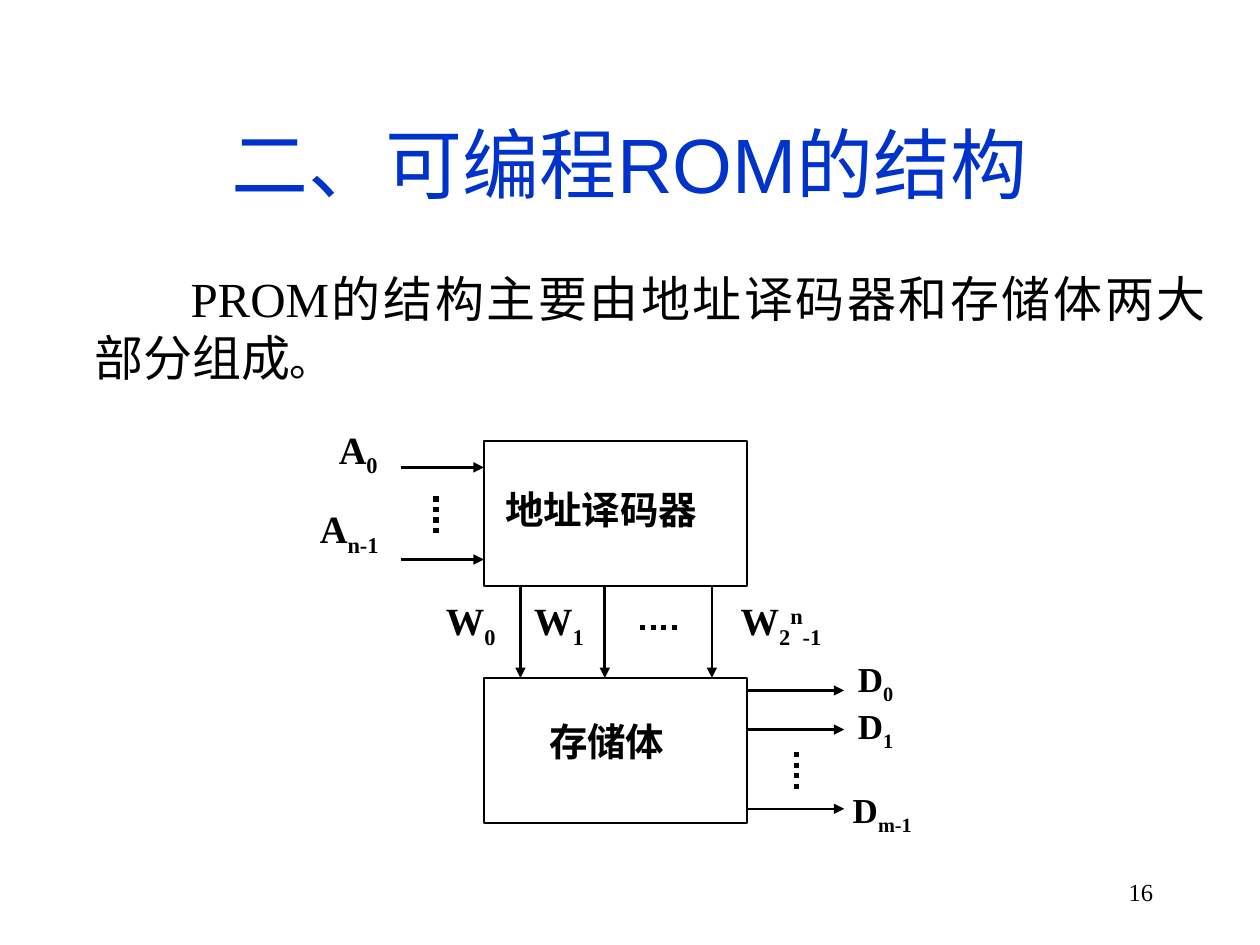
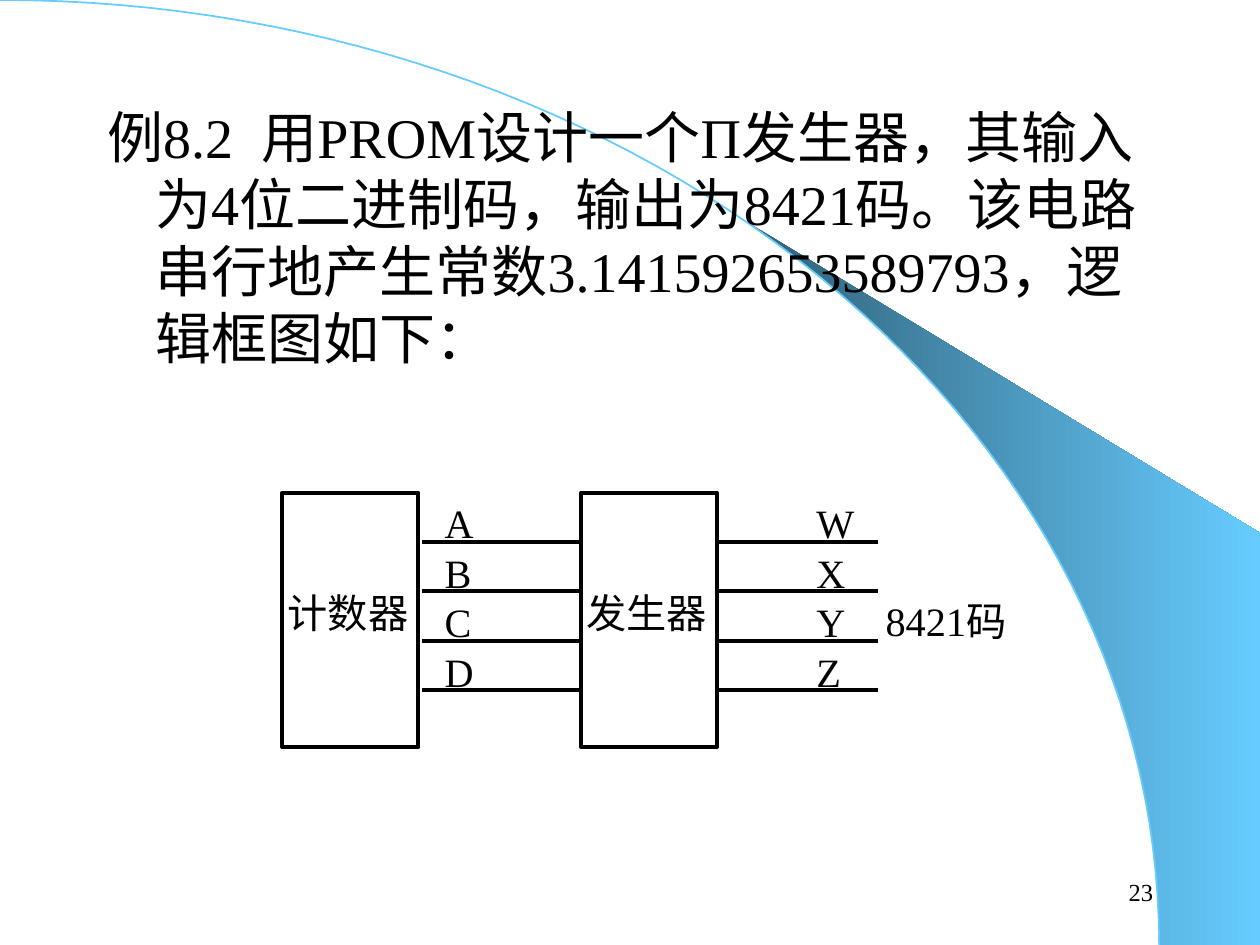
from dataclasses import dataclass
from math import asin, cos, pi, sin

from lxml.etree import SubElement
from pptx import Presentation
from pptx.dml.color import RGBColor as Color
from pptx.enum.dml import MSO_LINE as Dash
from pptx.enum.lang import MSO_LANGUAGE_ID as Language
from pptx.enum.shapes import MSO_CONNECTOR as Connector, MSO_SHAPE as Shape
from pptx.enum.text import MSO_ANCHOR as Anchor, MSO_AUTO_SIZE as AutoSize, PP_ALIGN as Align
from pptx.oxml.ns import qn
from pptx.util import Pt


@dataclass(frozen=True)
class Theme:
    ink: Color = Color(0x00, 0x00, 0x00)
    title: Color = Color(0x00, 0x33, 0xCC)
    sky: Color = Color(0x66, 0xCC, 0xFF)
    deep: Color = Color(0x2F, 0x5E, 0x75)
    serif: str = "Times New Roman"
    sans: str = "Arial"
    title_size: int = 44
    body_size: int = 32
    intro_size: int = 28
    stop_size: int = 24
    block_size: int = 22
    output_size: int = 20
    signal_size: int = 23
    number_size: int = 14


THEME = Theme()
WIDTH, HEIGHT = 720, 540

TITLE = "二、可编程ROM的结构"
INTRO = [("PROM的结构主要由地址译码器和存储体两大部分组成", {}),
         ("。", {"size": THEME.stop_size})]
EXAMPLE = [("例8.2", {}), (" ", {"spacing": 8}),
           ("用PROM设计一个П发生器，其输入为4位二进制码，输出为8421码。"
            "该电路串行地产生常数3.141592653589793，逻辑框图如下：", {})]

SUB, SUPER = {"baseline": -25}, {"baseline": 30}
DECODER = (276.5, 252, 150.5, 82.8)
STORAGE = (276.5, 387.4, 150.5, 82.8)
BLOCK_LABELS = [
    ([("地址译码器", {})], (281.5, 274.3, 123.8, 33.8)),
    ([("存储体", {})], (306.7, 406.8, 79.9, 33.8)),
    ([("W", {}), ("0", SUB)], (247.7, 337.7, 42.5, 37.4)),
    ([("W", {}), ("1", SUB)], (298.1, 337.7, 42.5, 37.4)),
    ([("W", {}), ("2", SUB), ("n", SUPER), ("-1", SUB)], (416.2, 337.7, 60.5, 37.4)),
    ([("A", {}), ("0", SUB)], (186.5, 239.8, 36.7, 37.4)),
    ([("A", {}), ("n-1", SUB)], (175.7, 285.1, 47.5, 37.4)),
]
OUTPUT_LABELS = [
    ([("D", {}), ("0", SUB)], (483.1, 372.2, 34.6, 34.6)),
    ([("D", {}), ("1", SUB)], (483.1, 398.9, 34.6, 34.6)),
    ([("D", {}), ("m-1", SUB)], (480.2, 447.1, 48.2, 34.6)),
]
WORD_LINES = [297.4, 345.6, 406.8]
ADDRESS_LINES = [267.1, 319.7]
DATA_LINES = [394.6, 416.9, 462.2]
DOTS = [(249.1, 283.7, 249.1, 306.7), (365.8, 358.6, 386.6, 358.6),
        (455, 429.8, 455, 452.9)]

BLOCKS = [("计数器", 161.3), ("发生器", 331.9)]
SIGNALS = [
    (247, 241.2, [("A", 31), ("B", 29.5), ("C", 29.5), ("D", 31)]),
    (459.4, 411.1, [("W", 36), ("X", 31), ("Y", 31), ("Z", 28)]),
]
BLOCK_TOP, BLOCK_WIDTH, BLOCK_HEIGHT = 281.5, 77.8, 145.4
WIRE_TOP, WIRE_LENGTH, WIRE_STEP = 309.6, 90.7, 28.3
LABEL_HEIGHT = 35.3


def place(box, frame):
    box.left, box.top, box.width, box.height = map(Pt, frame)


def write(box, text, *, size, font=THEME.serif, color=THEME.ink, bold=False,
          align=Align.LEFT, anchor=Anchor.TOP, wrap=False, margin=0, indent=0):
    frame = box.text_frame
    frame.auto_size = AutoSize.NONE
    frame.word_wrap = wrap
    frame.vertical_anchor = anchor
    para = frame.paragraphs[0]
    para.alignment = align
    para.space_before = Pt(0)
    props = para._p.get_or_add_pPr()
    props.set("marL", str(Pt(margin)))
    props.set("indent", str(Pt(indent)))
    SubElement(props, qn("a:buNone"))
    spans = [(text, {})] if isinstance(text, str) else text
    for words, extra in spans:
        span = para.add_run()
        span.text = words
        span.font.size = Pt(extra.get("size", size))
        span.font.name = font
        span.font.bold = bold
        span.font.color.rgb = color
        span.font.language_id = Language.SIMPLIFIED_CHINESE
        if "baseline" in extra:
            span.font._element.set("baseline", str(extra["baseline"] * 1000))
        if "spacing" in extra:
            span.font._element.set("spc", str(extra["spacing"] * 100))


def add_text(page, text, frame, **style):
    box = page.shapes.add_textbox(*map(Pt, frame))
    write(box, text, **style)


def add_block(page, frame, weight):
    block = page.shapes.add_shape(Shape.RECTANGLE, *map(Pt, frame))
    block.shadow.inherit = False
    block.fill.background()
    block.line.color.rgb = THEME.ink
    block.line.width = Pt(weight)


def add_line(page, ends, weight, arrow=False, dotted=False):
    line = page.shapes.add_connector(Connector.STRAIGHT, *map(Pt, ends))
    line.line.color.rgb = THEME.ink
    line.line.width = Pt(weight)
    if dotted:
        line.line.dash_style = Dash.ROUND_DOT
    if arrow:
        SubElement(line.line._get_or_add_ln(), qn("a:tailEnd"), type="triangle")
    SubElement(line._element.spPr, qn("a:effectLst"))


def add_number(page, number):
    add_text(page, str(number), (516.2, 491.8, 149.8, 36), size=THEME.number_size,
             align=Align.RIGHT, anchor=Anchor.MIDDLE, wrap=True)


def arc_points(start_angle, steps=60):
    radius_x, radius_y = 662.4, HEIGHT
    angles = [start_angle + (pi / 2 - start_angle) * i / steps for i in range(steps + 1)]
    return [(radius_x * sin(a), radius_y * (1 - cos(a))) for a in angles]


def add_outline(page, points, close):
    points = [(Pt(x), Pt(y)) for x, y in points]
    builder = page.shapes.build_freeform(*points[0])
    builder.add_line_segments(points[1:], close=close)
    outline = builder.convert_to_shape()
    outline.shadow.inherit = False
    return outline


def add_sweep(page):
    corners = [(WIDTH, HEIGHT), (WIDTH, 304.6)]
    band = add_outline(page, arc_points(asin(0.64)) + corners, close=True)
    band.line.fill.background()
    band.fill.gradient()
    band.fill.gradient_angle = 0
    for stop, color in zip(band.fill.gradient_stops, (THEME.deep, THEME.sky)):
        stop.color.rgb = color
    arc = add_outline(page, arc_points(0), close=False)
    arc.fill.background()
    arc.line.color.rgb = THEME.sky
    arc.line.width = Pt(1)


def build_structure(deck):
    page = deck.slides.add_slide(deck.slide_layouts[5])
    title = page.shapes.title
    place(title, (54, 48.2, 612, 90))
    write(title, TITLE, size=THEME.title_size, font=THEME.sans, color=THEME.title,
          align=Align.CENTER, anchor=Anchor.MIDDLE, wrap=True)
    add_text(page, INTRO, (46.8, 149.8, 649.4, 74.9), size=THEME.intro_size,
             align=Align.JUSTIFY, wrap=True, indent=55)

    for frame in (DECODER, STORAGE):
        add_block(page, frame, 1.5)
    left, top, width, height = DECODER
    arrows = [(x, top + height, x, STORAGE[1]) for x in WORD_LINES]
    arrows += [(229, y, left, y) for y in ADDRESS_LINES]
    arrows += [(left + width, y, 482.4, y) for y in DATA_LINES]
    for ends in arrows:
        add_line(page, ends, 1.5, arrow=True)
    for ends in DOTS:
        add_line(page, ends, 3, dotted=True)
    for labels, size in ((BLOCK_LABELS, THEME.block_size), (OUTPUT_LABELS, THEME.output_size)):
        for text, frame in labels:
            add_text(page, text, frame, size=size, bold=True, align=Align.JUSTIFY)
    add_number(page, 16)


def build_generator(deck):
    page = deck.slides.add_slide(deck.slide_layouts[1])
    title, body = page.placeholders
    title._element.getparent().remove(title._element)
    add_sweep(page)
    page.shapes._spTree.append(body._element)
    place(body, (54, 54.7, 617.8, 209.5))
    write(body, EXAMPLE, size=THEME.body_size, wrap=True, margin=27.4, indent=-27.4)

    for name, left in BLOCKS:
        add_block(page, (left, BLOCK_TOP, BLOCK_WIDTH, BLOCK_HEIGHT), 2.25)
        add_text(page, name, (left - 4, 332.6, 83.5, LABEL_HEIGHT), size=THEME.signal_size)
    for label_left, wire_left, signals in SIGNALS:
        for row, (name, width) in enumerate(signals):
            y = WIRE_TOP + row * WIRE_STEP
            add_line(page, (wire_left, y, wire_left + WIRE_LENGTH, y), 2.25)
            add_text(page, name, (label_left, y - 28.3, width, LABEL_HEIGHT),
                     size=THEME.signal_size)
    add_text(page, "8421码", (499, 337, 88.6, LABEL_HEIGHT), size=THEME.signal_size)
    add_number(page, 23)


def main():
    deck = Presentation()
    deck.slide_width, deck.slide_height = Pt(WIDTH), Pt(HEIGHT)
    build_structure(deck)
    build_generator(deck)
    deck.save("out.pptx")


if __name__ == "__main__":
    main()
